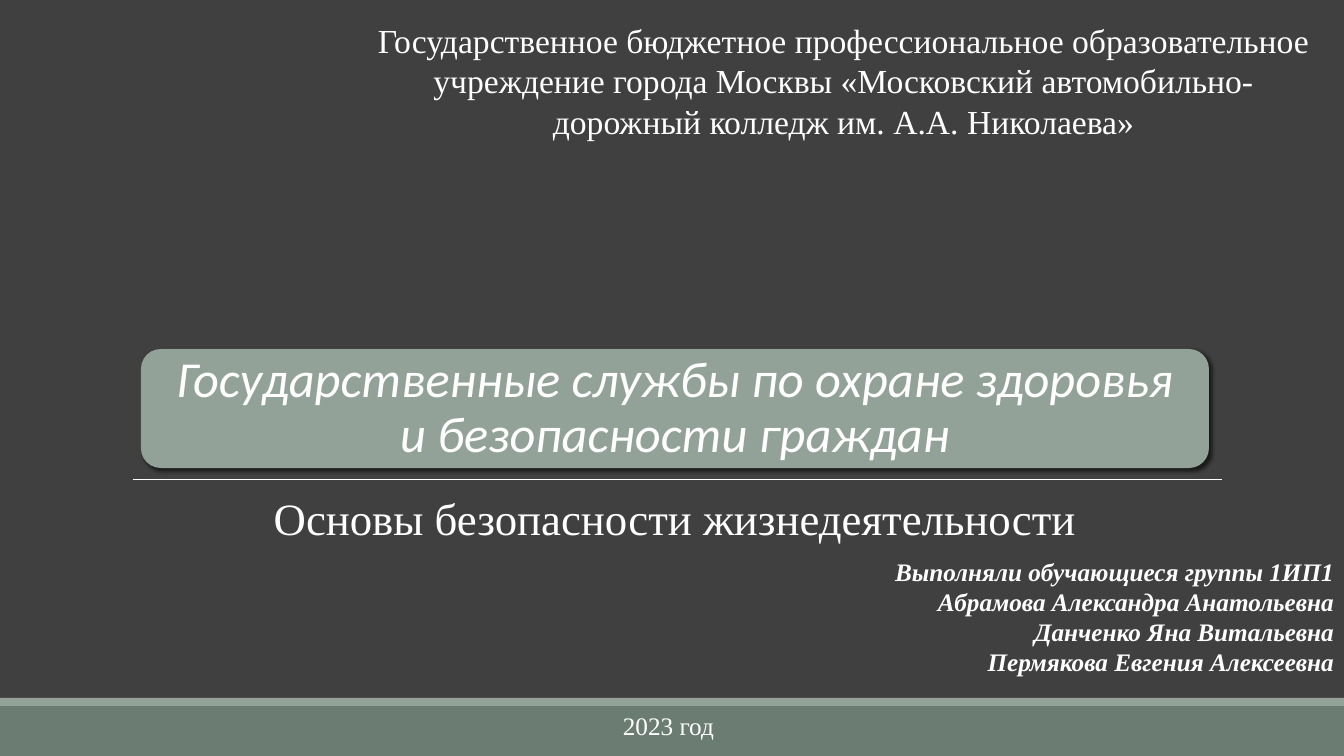
from lxml import etree
from pptx import Presentation
from pptx.dml.color import RGBColor
from pptx.enum.shapes import MSO_CONNECTOR, MSO_SHAPE
from pptx.enum.text import MSO_ANCHOR, PP_ALIGN
from pptx.oxml.ns import qn
from pptx.util import Emu, Pt

LEFT, CENTER, RIGHT = PP_ALIGN.LEFT, PP_ALIGN.CENTER, PP_ALIGN.RIGHT
TOP, MIDDLE = MSO_ANCHOR.TOP, MSO_ANCHOR.MIDDLE
RECT, ROUNDED = MSO_SHAPE.RECTANGLE, MSO_SHAPE.ROUNDED_RECTANGLE
STRAIGHT = MSO_CONNECTOR.STRAIGHT

COLORS = {"back": "404040", "footer": "6B7D72", "sage": "93A299",
          "text": "FFFFFF", "shadow": "000000"}
SERIF, SANS = "Times New Roman", "Calibri"
W, H = 1344, 756
FOOTER_H, STRIPE_H = 50, 8
CARD = (141, 349, 1068, 119)
CARD_PAD, TITLE_INSET = 6, 15
RULE = (133, 479, 1222, 479)

TITLE = "Государственные службы по охране здоровья и безопасности граждан"
TEXTS = [
    {"box": (356, 15, 975, 132), "size": 24, "align": CENTER, "wrap": True,
     "lines": ["Государственное бюджетное профессиональное образовательное "
               "учреждение города Москвы «Московский автомобильно-дорожный "
               "колледж им. А.А. Николаева»"]},
    {"box": (260, 486, 830, 64), "size": 32, "align": CENTER,
     "lines": ["Основы безопасности жизнедеятельности"]},
    {"box": (880, 551, 464, 132), "size": 18, "align": RIGHT, "strong": True,
     "lines": ["Выполняли обучающиеся группы 1ИП1",
               "Абрамова Александра Анатольевна",
               "Данченко Яна Витальевна",
               "Пермякова Евгения Алексеевна"]},
    {"box": (613, 705, 112, 40), "size": 18, "align": LEFT,
     "lines": ["2023 год"]},
]


def px(v):
    return Emu(round(v * 914400 / 100.8))


def rgb(name):
    return RGBColor.from_string(COLORS[name])


def add_block(s, kind, box, color):
    sp = s.shapes.add_shape(kind, *map(px, box))
    sp.fill.solid()
    sp.fill.fore_color.rgb = rgb(color)
    sp.line.fill.background()
    sp.shadow.inherit = False
    return sp


def add_shadow(sp):
    effects = sp._element.spPr.find(qn("a:effectLst"))
    outer = etree.SubElement(effects, qn("a:outerShdw"), blurRad=str(Pt(3)),
                             dist=str(Pt(2)), dir=str(45 * 60000))
    color = etree.SubElement(outer, qn("a:srgbClr"), val=COLORS["shadow"])
    etree.SubElement(color, qn("a:alpha"), val="60000")


def write(tf, lines, size, align, font=SERIF, bold=False, italic=False):
    for i, line in enumerate(lines):
        p = tf.add_paragraph() if i else tf.paragraphs[0]
        p.alignment = align
        r = p.add_run()
        r.text = line
        f = r.font
        f.name, f.size, f.bold, f.italic = font, Pt(size), bold, italic
        f.color.rgb = rgb("text")


def add_text(s, item):
    tf = s.shapes.add_textbox(*map(px, item["box"])).text_frame
    tf.word_wrap = item.get("wrap", False)
    tf.vertical_anchor = TOP
    strong = item.get("strong", False)
    write(tf, item["lines"], item["size"], item["align"],
          bold=strong, italic=strong)


def add_rule(s):
    rule = s.shapes.add_connector(STRAIGHT, *map(px, RULE))
    rule.line.color.rgb = rgb("text")
    rule.line.width = Pt(0.5)
    etree.SubElement(rule._element.spPr, qn("a:effectLst"))


def place_title(s):
    title = s.shapes.title
    x, y, w, h = CARD
    title.left, title.top = px(x + CARD_PAD), px(y + CARD_PAD)
    title.width, title.height = px(w - 2 * CARD_PAD), px(h - 2 * CARD_PAD)
    tf = title.text_frame
    tf.word_wrap = True
    tf.vertical_anchor = MIDDLE
    tf.margin_left = tf.margin_right = px(TITLE_INSET)
    tf.margin_top = tf.margin_bottom = px(TITLE_INSET)
    write(tf, [TITLE], 36, CENTER, SANS, italic=True)
    tf.paragraphs[0].line_spacing = 0.9
    s.shapes._spTree.append(title._element)


def main():
    prs = Presentation()
    prs.slide_width, prs.slide_height = px(W), px(H)
    s = prs.slides.add_slide(prs.slide_layouts[5])
    s.background.fill.solid()
    s.background.fill.fore_color.rgb = rgb("back")

    footer_top = H - FOOTER_H
    add_block(s, RECT, (0, footer_top, W, FOOTER_H), "footer")
    add_block(s, RECT, (0, footer_top - STRIPE_H, W, STRIPE_H), "sage")
    add_rule(s)
    add_shadow(add_block(s, ROUNDED, CARD, "sage"))
    place_title(s)
    for item in TEXTS:
        add_text(s, item)
    prs.save("out.pptx")


if __name__ == "__main__":
    main()
